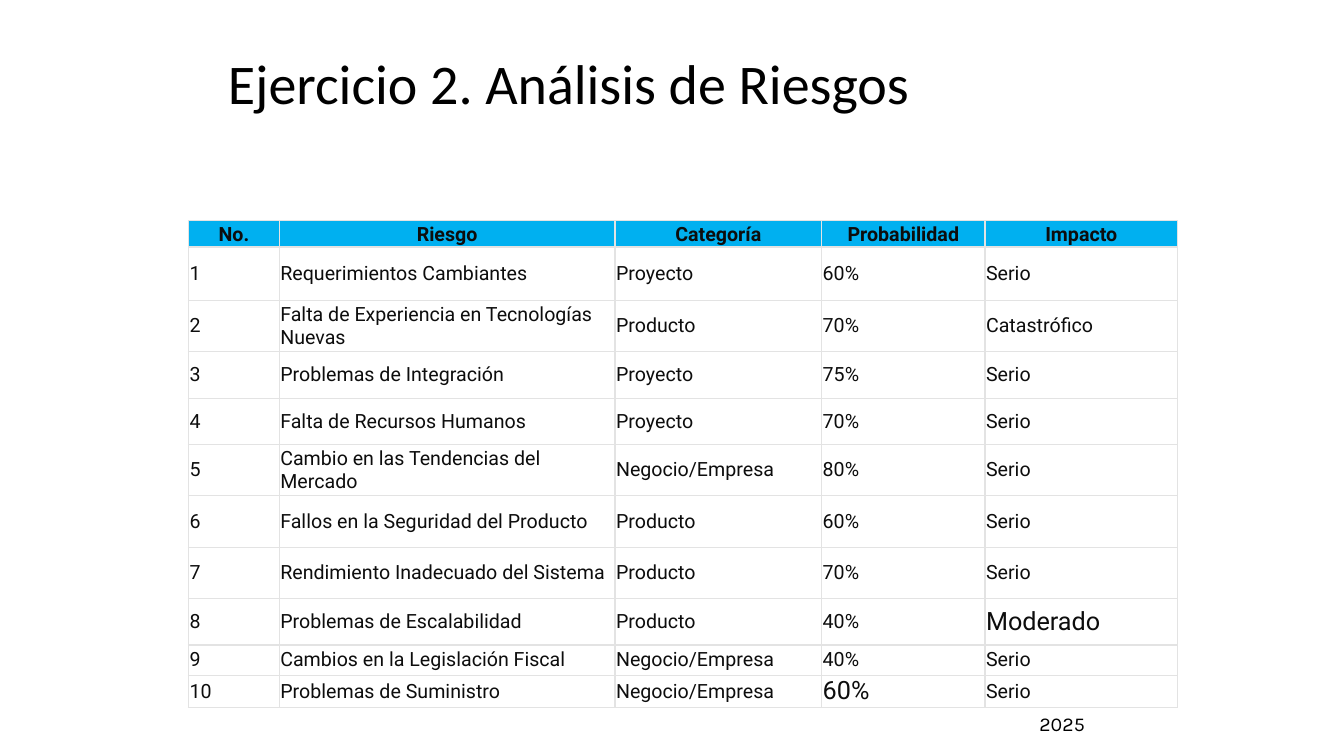
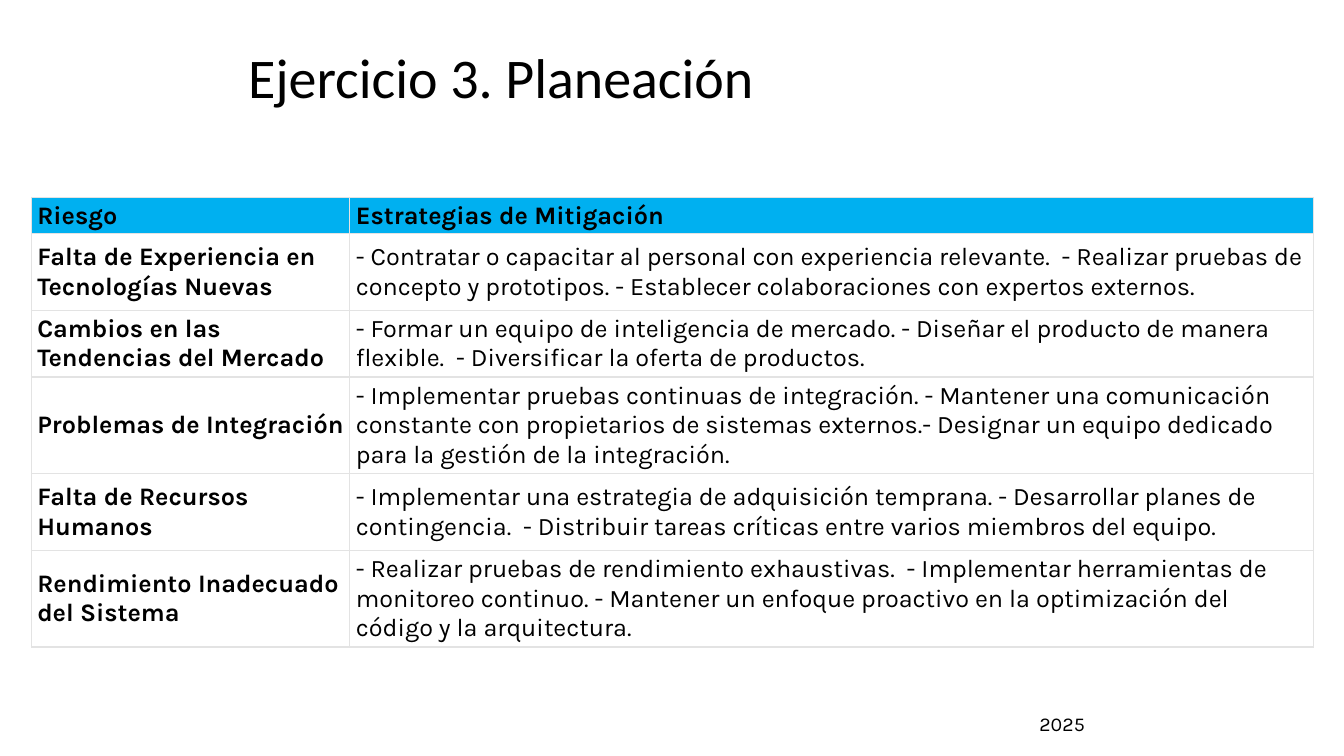
from dataclasses import dataclass

from lxml import etree
from pptx import Presentation
from pptx import util as u
from pptx.dml.color import RGBColor
from pptx.enum import text
from pptx.oxml import ns

PX = 9144  # EMU in one px, 100 px to the inch


@dataclass(frozen=True)
class Theme:
    ink: str = "000000"
    soft_ink: str = "0D0D0D"
    header: str = "00B0F0"
    paper: str = "FFFFFF"
    rule: str = "E3E3E3"
    title_font: str = "Calibri"
    body_font: str = "Karla"
    grid_font: str = "Roboto"
    title_size: int = 40
    large: int = 18
    small: int = 14


@dataclass(frozen=True)
class TableStyle:
    font: str
    size: int
    color: str
    margins: tuple  # horizontal, vertical, in px
    rules: tuple  # upright, level, in points
    header_align: text.PP_ALIGN
    bold_first_column: bool = False


THEME = Theme()
RISK_STYLE = TableStyle(THEME.grid_font, THEME.small, THEME.soft_ink,
                        (1, 1), (0.94, 0.94), text.PP_ALIGN.CENTER)
PLAN_STYLE = TableStyle(THEME.body_font, THEME.large, THEME.ink,
                        (6, 3), (0.75, 1), text.PP_ALIGN.LEFT, True)

RISKS = [
    ("No.", "Riesgo", "Categoría", "Probabilidad", "Impacto"),
    ("1", "Requerimientos Cambiantes", "Proyecto", "60%", "Serio"),
    ("2", "Falta de Experiencia en Tecnologías Nuevas", "Producto", "70%", "Catastrófico"),
    ("3", "Problemas de Integración", "Proyecto", "75%", "Serio"),
    ("4", "Falta de Recursos Humanos", "Proyecto", "70%", "Serio"),
    ("5", "Cambio en las Tendencias del Mercado", "Negocio/Empresa", "80%", "Serio"),
    ("6", "Fallos en la Seguridad del Producto", "Producto", "60%", "Serio"),
    ("7", "Rendimiento Inadecuado del Sistema", "Producto", "70%", "Serio"),
    ("8", "Problemas de Escalabilidad", "Producto", "40%", "Moderado"),
    ("9", "Cambios en la Legislación Fiscal", "Negocio/Empresa", "40%", "Serio"),
    ("10", "Problemas de Suministro", "Negocio/Empresa", "60%", "Serio"),
]
ENLARGED_RISKS = [(8, 4), (10, 3)]  # row, column

PLANS = [
    ("Riesgo", "Estrategias de Mitigación"),
    ("Falta de Experiencia en Tecnologías Nuevas",
     "- Contratar o capacitar al personal con experiencia relevante.  "
     "- Realizar pruebas de concepto y prototipos. "
     "- Establecer colaboraciones con expertos externos."),
    ("Cambios en las Tendencias del Mercado",
     "- Formar un equipo de inteligencia de mercado. "
     "- Diseñar el producto de manera flexible.  "
     "- Diversificar la oferta de productos."),
    ("Problemas de Integración",
     "- Implementar pruebas continuas de integración. "
     "- Mantener una comunicación constante con propietarios de sistemas externos."
     "- Designar un equipo dedicado para la gestión de la integración."),
    ("Falta de Recursos Humanos",
     "- Implementar una estrategia de adquisición temprana. "
     "- Desarrollar planes de contingencia.  "
     "- Distribuir tareas críticas entre varios miembros del equipo."),
    ("Rendimiento Inadecuado del Sistema",
     "- Realizar pruebas de rendimiento exhaustivas.  "
     "- Implementar herramientas de monitoreo continuo. "
     "- Mantener un enfoque proactivo en la optimización del código y la arquitectura."),
]


def emu(*lengths):
    return [u.Emu(length * PX) for length in lengths]


def style_font(para, name, size, color, bold=False):
    font = para.font
    font.name, font.size, font.bold = name, u.Pt(size), bold
    font.color.rgb = RGBColor.from_string(color)


def add_title(page, words, left, top):
    title = page.shapes.title
    title.left, title.top, title.width, title.height = emu(left, top, 1182, 67)
    frame = title.text_frame
    frame.text = words
    frame.vertical_anchor = text.MSO_ANCHOR.MIDDLE
    frame.margin_left = frame.margin_right = frame.margin_top = frame.margin_bottom = 0
    para = frame.paragraphs[0]
    para.alignment = text.PP_ALIGN.LEFT
    style_font(para, THEME.title_font, THEME.title_size, THEME.ink)


def add_year(page):
    """Place the year on the layout of the page, so that every slide shows it."""
    box = page.shapes.add_textbox(*emu(1021, 701, 252, 34))
    box.text_frame.word_wrap = True
    box.text_frame.text = "2025"
    style_font(box.text_frame.paragraphs[0], THEME.body_font, THEME.small, THEME.ink)
    page.slide_layout.shapes.element.append(box.element)


def add_borders(cell, upright, level):
    props = cell._tc.get_or_add_tcPr()
    for side, points in (("L", upright), ("R", upright), ("T", level), ("B", level)):
        line = etree.SubElement(props, ns.qn(f"a:ln{side}"), w=str(u.Pt(points)))
        fill = etree.SubElement(line, ns.qn("a:solidFill"))
        etree.SubElement(fill, ns.qn("a:srgbClr"), val=THEME.rule)


def style_cell(cell, style, is_header, bold):
    add_borders(cell, *style.rules)
    cell.fill.solid()
    cell.fill.fore_color.rgb = RGBColor.from_string(
        THEME.header if is_header else THEME.paper)
    across, down = emu(*style.margins)
    cell.margin_left = cell.margin_right = across
    cell.margin_top = cell.margin_bottom = down
    cell.vertical_anchor = text.MSO_ANCHOR.BOTTOM if is_header else text.MSO_ANCHOR.MIDDLE
    para = cell.text_frame.paragraphs[0]
    para.alignment = style.header_align if is_header else text.PP_ALIGN.LEFT
    style_font(para, style.font, style.size, style.color, bold)


def add_grid(page, rows, left, top, widths, heights, style):
    frame = page.shapes.add_table(len(rows), len(widths),
                                  *emu(left, top, sum(widths), sum(heights)))
    table = frame.table
    table.first_row = table.horz_banding = False
    for column, width in zip(table.columns, emu(*widths)):
        column.width = width
    for row, height in zip(table.rows, emu(*heights)):
        row.height = height
    for r, words in enumerate(rows):
        for c, word in enumerate(words):
            cell = table.cell(r, c)
            cell.text = word
            bold = r == 0 or (c == 0 and style.bold_first_column)
            style_cell(cell, style, r == 0, bold)
    return table


def build_risks(page):
    add_title(page, "Ejercicio 2. Análisis de Riesgos", 226, 48)
    table = add_grid(page, RISKS, 187, 219, [90, 333, 205, 162, 191],
                     [26, 53, 51, 46, 46, 51, 51, 51, 46, 30, 32], RISK_STYLE)
    for row, column in ENLARGED_RISKS:
        para = table.cell(row, column).text_frame.paragraphs[0]
        para.font.size = u.Pt(THEME.large)


def build_plans(page):
    add_title(page, "Ejercicio 3. Planeación", 246, 42)
    add_grid(page, PLANS, 31, 196, [316, 956], [36, 76, 66, 96, 76, 96], PLAN_STYLE)


def main():
    deck = Presentation()
    deck.slide_width, deck.slide_height = emu(1333, 750)
    layout = deck.slide_layouts[5]  # title only
    for build in (build_risks, build_plans):
        build(deck.slides.add_slide(layout))
    add_year(deck.slides[0])
    deck.save("out.pptx")


if __name__ == "__main__":
    main()
